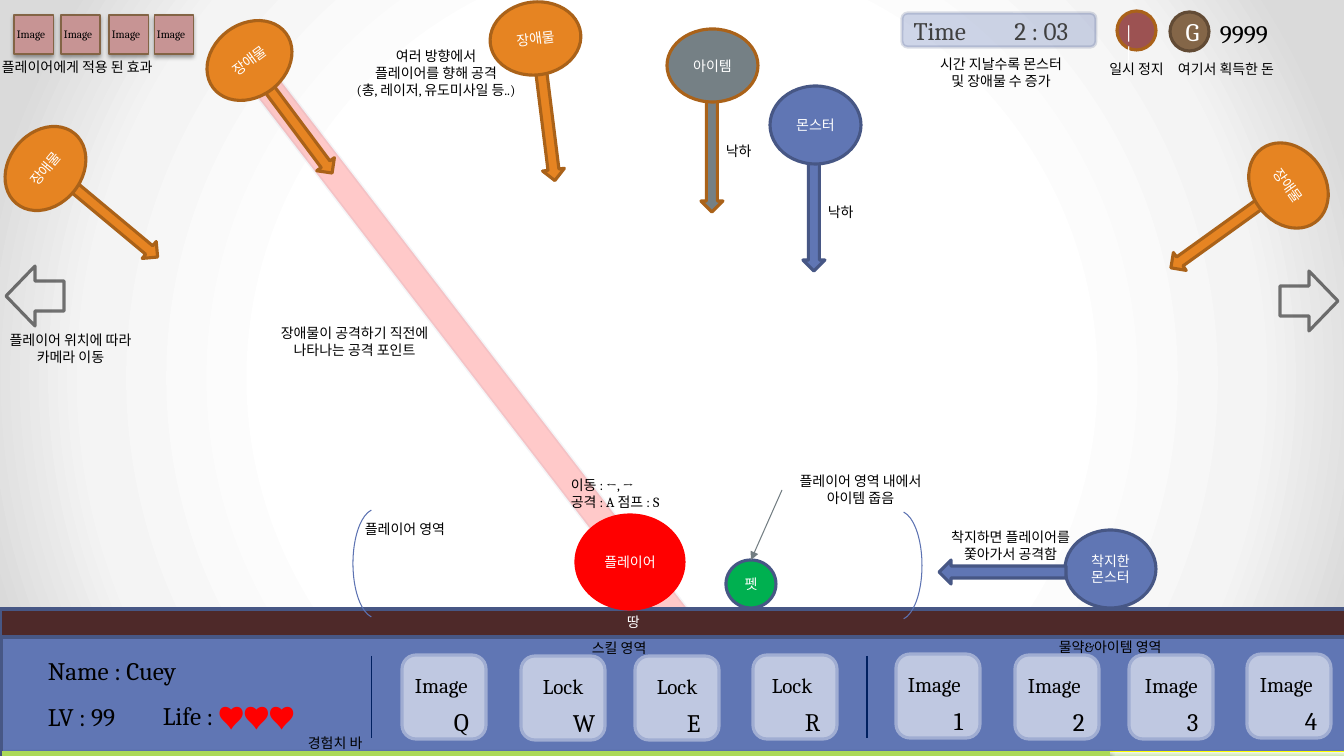
from lxml.etree import SubElement
from pptx import Presentation
from pptx.dml.color import RGBColor
from pptx.enum.shapes import MSO_CONNECTOR, MSO_SHAPE
from pptx.enum.text import MSO_ANCHOR, MSO_AUTO_SIZE, PP_ALIGN
from pptx.oxml import parse_xml
from pptx.oxml.ns import nsdecls, qn
from pptx.util import Emu, Pt

BLACK = RGBColor(0, 0, 0)
WHITE = RGBColor(255, 255, 255)
GREY = RGBColor(0x40, 0x40, 0x40)
RED = RGBColor(255, 0, 0)
BLUE = RGBColor(0x60, 0x76, 0xB4)
NAVY = RGBColor(0x47, 0x57, 0x85)
INK = RGBColor(0x00, 0x20, 0x60)
CURVE = RGBColor(0x5C, 0x72, 0xB2)
ORANGE = RGBColor(0xE6, 0x84, 0x22)
RUST = RGBColor(0xAA, 0x62, 0x19)
STEEL = RGBColor(0x75, 0x80, 0x85)
SLATE = RGBColor(0x72, 0x7D, 0x82)
GREEN = RGBColor(0x00, 0xB0, 0x50)
SOIL = RGBColor(0x4E, 0x29, 0x29)
GOLD = RGBColor(0x84, 0x66, 0x48)
BRONZE = RGBColor(0x62, 0x4B, 0x35)
BRICK = RGBColor(0x9C, 0x52, 0x52)
PINK = RGBColor(0xC7, 0x94, 0x94)
BROWN = RGBColor(0x83, 0x64, 0x45)
SLOT = RGBColor(0xBF, 0xC8, 0xE1)
EDGE = RGBColor(0xA0, 0xAD, 0xD2)
LIME = RGBColor(0xAB, 0xD9, 0x58)
PALE = RGBColor(0xEF, 0xF7, 0xE9)
MINT = RGBColor(0xC5, 0xE1, 0xAB)
YELLOW = RGBColor(255, 255, 0)

OVAL, RECT, ROUND = MSO_SHAPE.OVAL, MSO_SHAPE.RECTANGLE, MSO_SHAPE.ROUNDED_RECTANGLE
DOWN, RIGHT, ARC = MSO_SHAPE.DOWN_ARROW, MSO_SHAPE.RIGHT_ARROW, MSO_SHAPE.ARC
LEFT, MID = PP_ALIGN.LEFT, PP_ALIGN.CENTER


def px(*sizes):
    """Turn pixels into EMU."""
    return [Emu(round(size * 914400 / 100.8)) for size in sizes]


def fade(node, share):
    """Set the opacity, in percent, of the colour inside a node."""
    color = node.find(".//" + qn("a:srgbClr"))
    SubElement(color, qn("a:alpha"), val=str(share * 1000))


class Board:
    """Holds the slide and its text style."""

    font = "Cambria"

    def __init__(self, slide):
        """Keep the slide to draw on."""
        self.slide = slide

    def glow(self, stops):
        """Fill the background with a radial gradient."""
        marks = "".join(
            f'<a:gs pos="{pos * 1000}"><a:srgbClr val="{color}"/></a:gs>' for pos, color in stops)
        self.slide.element.cSld.insert(0, parse_xml(
            f'<p:bg {nsdecls("p", "a")}><p:bgPr><a:gradFill rotWithShape="1"><a:gsLst>{marks}'
            '</a:gsLst><a:path path="circle"><a:fillToRect l="50000" t="50000" r="50000" '
            'b="50000"/></a:path></a:gradFill><a:effectLst/></p:bgPr></p:bg>'))

    def label(self, frame, words, size, color, align):
        """Put styled words into a text frame."""
        frame.text = words
        for line in frame.paragraphs:
            line.alignment = align
            line.font.name, line.font.size = self.font, Pt(size)
            line.font.color.rgb = color

    def shape(self, kind, box, fill, line, words="", size=10, color=WHITE, align=MID, turn=0,
              width=2.25, adjust=(), clear=100, thin=100, shadow=False):
        """Draw a preset shape, with text if there is any."""
        item = self.slide.shapes.add_shape(kind, *px(*box))
        item.shadow.inherit = False
        item.rotation = turn
        for spot, value in enumerate(adjust):
            item.adjustments[spot] = value
        props = item.element.spPr
        if fill is None:
            item.fill.background()
        else:
            item.fill.solid()
            item.fill.fore_color.rgb = fill
            if clear < 100:
                fade(props.find(qn("a:solidFill")), clear)
        item.line.color.rgb, item.line.width = line, Pt(width)
        if thin < 100:
            fade(props.find(qn("a:ln")), thin)
        if shadow:
            cast = SubElement(props.find(qn("a:effectLst")), qn("a:outerShdw"), blurRad="39400",
                              dist="20300", dir="5400000", rotWithShape="0")
            SubElement(cast, qn("a:srgbClr"), val="000000")
            fade(cast, 38)
        if words:
            item.text_frame.vertical_anchor = MSO_ANCHOR.MIDDLE
            self.label(item.text_frame, words, size, color, align)
        return item

    def text(self, box, words, size=10, color=BLACK, align=LEFT, wrap=False):
        """Add a text box."""
        frame = self.slide.shapes.add_textbox(*px(*box)).text_frame
        frame.word_wrap = wrap
        frame.auto_size = MSO_AUTO_SIZE.SHAPE_TO_FIT_TEXT
        self.label(frame, words, size, color, align)
        return frame

    def line(self, ends, color, head=False):
        """Draw a straight line, with an arrowhead if asked."""
        link = self.slide.shapes.add_connector(MSO_CONNECTOR.STRAIGHT, *px(*ends))
        link.line.color.rgb, link.line.width = color, Pt(0.75)
        props = link.element.spPr
        if head:
            SubElement(props.find(qn("a:ln")), qn("a:tailEnd"), type="triangle")
        SubElement(props, qn("a:effectLst"))

    def drop(self, words, ball, arrow, fill, line, turn=0, tall=73):
        """Draw a flying ball and the arrow of its path."""
        self.shape(DOWN, (*arrow, 22, 111), fill, line, turn=turn)
        self.shape(OVAL, (*ball, 91, tall), fill, line, words, turn=turn)

    def slot(self, x, y, label, shift, key, gap):
        """Draw a slot with its label and key."""
        self.shape(ROUND, (x, y, 84, 84), SLOT, EDGE)
        self.text((x + gap, y + 46, 40, 40), key, 18)
        self.text((x + shift, y + 13, 80 if label == "Image" else 65, 35), label, 15)


show = Presentation()
show.slide_width, show.slide_height = px(1344, 756)
board = Board(show.slides.add_slide(show.slide_layouts[6]))
board.glow([(50, "FFFFFF"), (76, "F4F4F4"), (92, "DADADA")])

# Attack beam, ground and panel
board.shape(ROUND, (902, 13, 194, 34), BLUE, NAVY, "Time\t2 : 03", 18, GREY, LEFT,
            clear=30, thin=20)
board.shape(RECT, (459, 17, 28, 673), RED, NAVY, turn=322.4, clear=21, thin=6)
board.shape(RECT, (0, 609, 1351, 147), SOIL, NAVY)
board.shape(RECT, (1, 637, 1349, 120), BLUE, NAVY)

# Player, pet and landed monster
board.shape(OVAL, (576, 515, 108, 94), RED, RED, "플레이어")
board.shape(OVAL, (726, 560, 50, 48), GREEN, NAVY, "펫")
board.shape(OVAL, (1065, 530, 91, 78), BLUE, NAVY, "착지한몬스터")
board.shape(RIGHT, (939, 560, 127, 24), BLUE, NAVY, turn=180)
board.line((782, 490, 751, 560), SLATE, head=True)
board.shape(ARC, (353, 509, 46, 109), None, CURVE, width=0.75, adjust=(57, 159))
board.shape(ARC, (876, 511, 46, 109), None, CURVE, width=0.75, adjust=(165, 51))

# Falling things and obstacles
board.drop("몬스터", (770, 86), (803, 160), BLUE, NAVY, tall=78)
board.drop("아이템", (667, 29), (701, 101), STEEL, RUST)
for ball, arrow, turn in [((490, 2), (537, 70), 352.9), ((1243, 149), (1205, 180), 54.3),
                          ((204, 24), (288, 73), 323.3), ((0, 132), (104, 166), 309.8)]:
    board.drop("장애물", ball, arrow, ORANGE, RUST, turn)

# Coin and pause button
board.shape(OVAL, (1170, 12, 39, 39), GOLD, BRONZE, "G", 18)
board.shape(OVAL, (1117, 11, 39, 39), BRICK, RUST)
board.text((1116, 16, 35, 32), "| |", 13, WHITE)

# Effect tiles
for x in (14, 61, 109, 154):
    board.shape(ROUND, (x, 15, 39, 39), PINK, BROWN, width=0.75, adjust=(0,), shadow=True)
    board.text((x - 7, 22, 51, 24), "Image", 8)

# Camera arrows
board.shape(RIGHT, (1280, 271, 58, 60), None, BLACK, thin=52)
board.shape(RIGHT, (6, 266, 58, 60), None, BLACK, turn=180, thin=52)

# Player status
board.text((38, 650, 169, 40), "Name : Cuey", 18)
board.text((38, 696, 99, 40), "LV : 99", 18)
life = board.text((153, 695, 160, 40), "Life : ", 18)
hearts = life.paragraphs[0].add_run()
hearts.text = "♥♥♥"
hearts.font.color.rgb = RED
board.text((1210, 13, 77, 40), "9999", 18)

# Skill and item slots
for x in (372, 867):
    board.line((x, 656, x, 738), INK)
SLOTS = [(402, 655), (521, 656), (635, 656), (753, 655)]
SKILLS = [("Image", 3, "Q"), ("Lock", 12, "W"), ("Lock", 12, "E"), ("Lock", 9, "R")]
for (x, y), (label, shift, key), digit, nudge in zip(SLOTS, SKILLS, "1234", (2, 3, 6, 3)):
    board.slot(x, y, label, shift, key, 42)
    board.slot(x + 494, y - 1, "Image", nudge, digit, 48)

# Experience bar
full = board.shape(RECT, (3, 752, 1345, 5), PALE, YELLOW, width=0.75, shadow=True)
full.fill.gradient()
full.fill.gradient_angle = 90
for stop, color in zip(full.fill.gradient_stops, (MINT, PALE)):
    stop.color.rgb = color
board.shape(RECT, (3, 752, 1107, 5), LIME, LIME, width=0.75, shadow=True)

# Notes on the game
for box, words, align in [
    ((818, 199, 48, 27), "낙하", LEFT),
    ((716, 138, 48, 27), "낙하", LEFT),
    ((935, 524, 151, 44), "착지하면 플레이어를\n쫓아가서 공격함", MID),
    ((782, 468, 157, 44), "플레이어 영역 내에서\n아이템 줍음", MID),
    ((355, 516, 110, 27), "플레이어 영역", LEFT),
    ((561, 472, 125, 44), "이동 : ←, →\v공격 : A 점프 : S", LEFT),
    ((1049, 634, 134, 27), "물약&아이템 영역", LEFT),
    ((582, 635, 81, 27), "스킬 영역", LEFT),
    ((-8, 54, 186, 27), "플레이어에게 적용 된 효과", LEFT),
    ((262, 320, 185, 44), "장애물이 공격하기 직전에\n나타나는 공격 포인트", MID),
    ((1096, 56, 81, 27), "일시 정지", MID),
    ((1168, 56, 126, 27), "여기서 획득한 돈", LEFT),
    ((-8, 327, 157, 44), "플레이어 위치에 따라\v카메라 이동", MID),
    ((924, 51, 154, 44), "시간 지날수록 몬스터\n및 장애물 수 증가", MID),
    ((298, 730, 81, 27), "경험치 바", LEFT),
]:
    board.text(box, words, align=align)
board.text((337, 43, 198, 61), "여러 방향에서\v플레이어를 향해 공격\n(총, 레이저, 유도미사일 등..)",
           align=MID, wrap=True)
board.text((617, 609, 34, 27), "땅", color=WHITE)

show.save("out.pptx")
